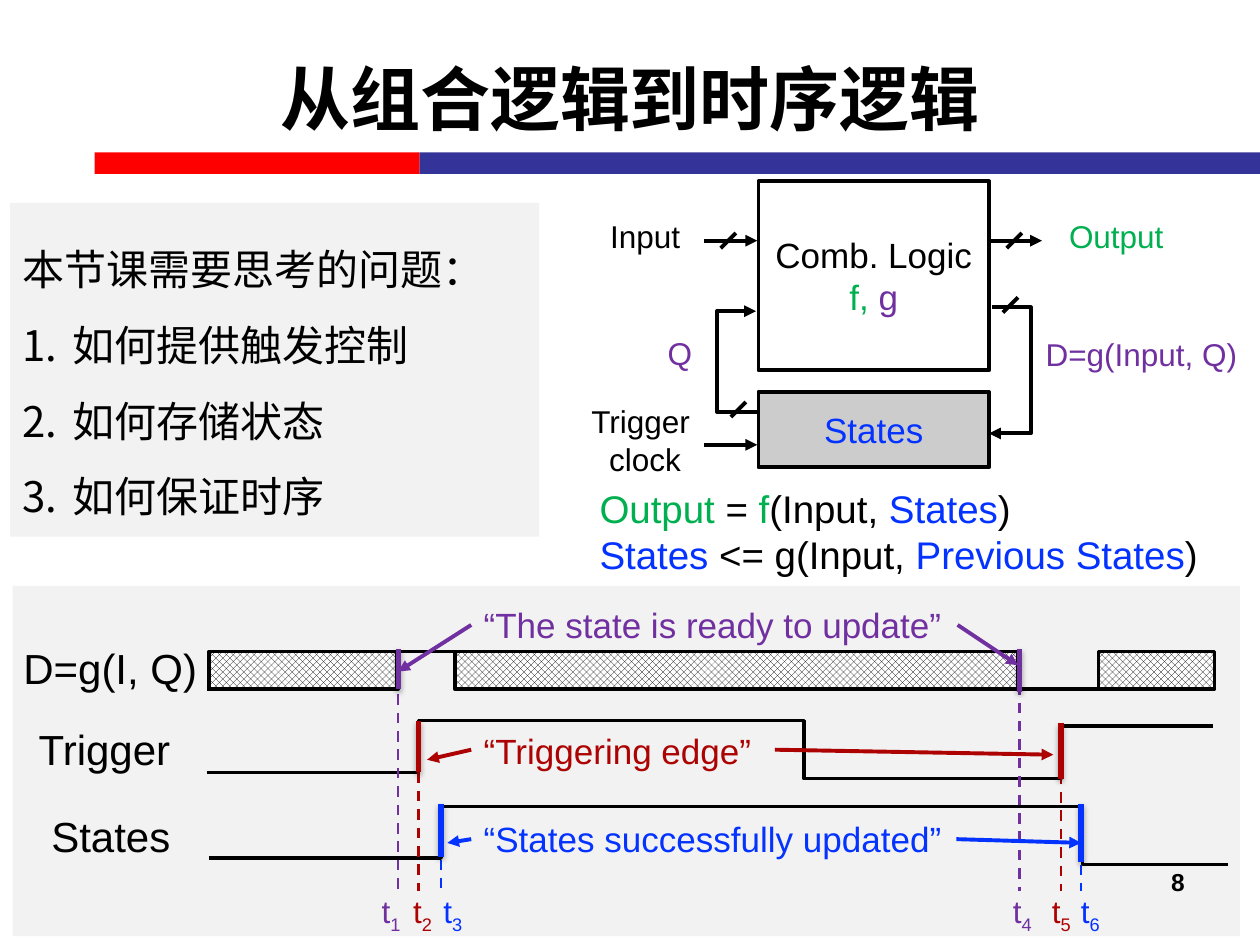
"""Build the slide that leads from combinational to sequential logic."""
from dataclasses import dataclass
from typing import NamedTuple, Optional

from lxml import etree
from pptx import Presentation
from pptx.dml.color import RGBColor
from pptx.enum.dml import MSO_LINE, MSO_PATTERN
from pptx.enum.shapes import MSO_CONNECTOR, MSO_SHAPE
from pptx.enum.text import MSO_ANCHOR, MSO_AUTO_SIZE, PP_ALIGN
from pptx.oxml.ns import qn
from pptx.util import Inches, Pt

RECTANGLE = MSO_SHAPE.RECTANGLE
STRAIGHT = MSO_CONNECTOR.STRAIGHT
DASH = MSO_LINE.DASH
HATCH = MSO_PATTERN.from_xml("openDmnd")
MIDDLE, TOP = MSO_ANCHOR.MIDDLE, MSO_ANCHOR.TOP
LEFT, CENTER, RIGHT = PP_ALIGN.LEFT, PP_ALIGN.CENTER, PP_ALIGN.RIGHT
GROW = MSO_AUTO_SIZE.SHAPE_TO_FIT_TEXT

BLACK = RGBColor(0x00, 0x00, 0x00)
WHITE = RGBColor(0xFF, 0xFF, 0xFF)
RED = RGBColor(0xFF, 0x00, 0x00)
NAVY = RGBColor(0x33, 0x33, 0x99)
PANEL = RGBColor(0xF2, 0xF2, 0xF2)
GRAY = RGBColor(0xCC, 0xCC, 0xCC)
PURPLE = RGBColor(0x70, 0x30, 0xA0)
CRIMSON = RGBColor(0xAD, 0x02, 0x02)
BLUE = RGBColor(0x04, 0x32, 0xFF)
GREEN = RGBColor(0x00, 0xB0, 0x50)


class Box(NamedTuple):
    left: float
    top: float
    width: float
    height: float


class Piece(NamedTuple):
    text: str
    color: RGBColor = BLACK
    subscript: bool = False


class Line(NamedTuple):
    start: tuple
    end: tuple
    color: RGBColor = BLACK
    width: float = 2.25


class Step(NamedTuple):
    left: float
    edge: float
    right: float
    start_y: float
    end_y: float


@dataclass(frozen=True)
class Label:
    box: Box
    lines: list
    size: float
    align: PP_ALIGN = LEFT


@dataclass(frozen=True)
class Instant:
    number: int
    color: RGBColor
    x: float
    edge_top: float
    edge_bottom: float
    dash_top: float
    label_left: float


DATA_HIGH, DATA_LOW = 5.17, 5.47
TRACES = [
    Step(1.64, 3.16, 4.27, DATA_LOW, DATA_HIGH), Step(4.08, 8.08, 9.58, DATA_HIGH, DATA_LOW),
    Step(1.64, 3.32, 4.55, 6.13, 5.72), Step(4.54, 6.38, 6.95, 5.72, 6.18),
    Step(6.75, 8.42, 9.63, 6.18, 5.76),
    Step(1.66, 3.5, 4.85, 6.81, 6.4), Step(4.85, 8.59, 9.75, 6.4, 6.86),
]
CHANGING_DATA = [(1.66, 3.15), (3.61, 8.08), (8.72, 9.64)]
INSTANTS = [
    Instant(1, PURPLE, 3.16, 5.15, 5.47, 5.51, 2.93),
    Instant(2, CRIMSON, 3.32, 5.72, 6.13, 6.13, 3.18),
    Instant(3, BLUE, 3.5, 6.38, 6.8, 6.53, 3.42),
    Instant(4, PURPLE, 8.09, 5.15, 5.49, 5.43, 7.94),
    Instant(5, CRIMSON, 8.42, 5.74, 6.18, 6.14, 8.25),
    Instant(6, BLUE, 8.58, 6.38, 6.84, 6.57, 8.48),
]
CALLOUT_ARROWS = [
    Line((3.74, 4.96), (3.16, 5.33), PURPLE), Line((7.6, 4.96), (8.08, 5.28), PURPLE),
    Line((3.74, 5.95), (3.39, 6.03), CRIMSON), Line((6.15, 5.95), (8.36, 5.99), CRIMSON),
    Line((3.74, 6.66), (3.55, 6.69), BLUE), Line((7.59, 6.66), (8.58, 6.69), BLUE),
]
PORT_ARROWS = [Line((5.59, 1.91), (6.01, 1.91)), Line((7.86, 1.91), (8.27, 1.91)),
               Line((5.59, 3.53), (6.01, 3.53))]
FEEDBACK_LOOPS = [Step(7.87, 8.18, 7.85, 2.44, 3.44), Step(6.02, 5.69, 6.0, 3.27, 2.47)]
BUS_MARKS = [(5.78, 1.91), (5.86, 3.25), (8.02, 2.42), (8.05, 1.91)]
TIMING_LABELS = [
    Label(Box(0.07, 5.05, 1.61, 0.5), [[Piece("D=g(I, Q)")]], 24, CENTER),
    Label(Box(0.2, 5.69, 1.35, 0.5), [[Piece("Trigger ")]], 24, CENTER),
    Label(Box(0.3, 6.38, 1.16, 0.5), [[Piece("States")]], 24, CENTER),
    Label(Box(3.74, 4.74, 3.86, 0.44), [[Piece("“The state is ready to update”", PURPLE)]], 20),
    Label(Box(3.74, 5.74, 2.41, 0.44), [[Piece("“Triggering edge”", CRIMSON)]], 20),
    Label(Box(3.74, 6.44, 3.85, 0.44), [[Piece("“States successfully updated”", BLUE)]], 20),
]
CIRCUIT_LABELS = [
    Label(Box(4.74, 1.67, 0.76, 0.4), [[Piece("Input")]], 18, CENTER),
    Label(Box(8.38, 1.67, 0.96, 0.4), [[Piece("Output", GREEN)]], 18, CENTER),
    Label(Box(4.59, 3.14, 1.06, 0.71), [[Piece("Trigger \nclock")]], 18, CENTER),
    Label(Box(8.2, 2.61, 1.74, 0.4), [[Piece("D=g(Input, Q)", PURPLE)]], 18),
    Label(Box(5.2, 2.6, 0.4, 0.4), [[Piece("Q", PURPLE)]], 18),
    Label(Box(4.66, 3.8, 5.01, 0.84), [
        [Piece("Output", GREEN), Piece(" = "), Piece("f", GREEN), Piece("(Input, "),
         Piece("States", BLUE), Piece(")")],
        [Piece("States", BLUE), Piece(" <= g(Input, "), Piece("Previous States", BLUE), Piece(")")],
    ], 22),
]
QUESTIONS = ["本节课需要思考的问题：", "如何提供触发控制", "如何存储状态", "如何保证时序"]


def write(frame, lines: list, size: float, align: PP_ALIGN = LEFT, bold: bool = False) -> None:
    """Fill a text frame with lines of coloured pieces."""
    for index, pieces in enumerate(lines):
        paragraph = frame.add_paragraph() if index else frame.paragraphs[0]
        paragraph.alignment = align
        if len(pieces) == 1:
            paragraph.text = pieces[0].text
            styled = [(run, pieces[0]) for run in paragraph.runs]
        else:
            styled = [(paragraph.add_run(), piece) for piece in pieces]
        for run, piece in styled:
            if len(pieces) > 1:
                run.text = piece.text
            run.font.name, run.font.size, run.font.bold = "Arial", Pt(size), bold
            run.font.color.rgb = piece.color
            if piece.subscript:
                run.font._element.set("baseline", "-25000")


def add_text(slide, label: Label, bold: bool = False, wrap: bool = False,
             anchor: MSO_ANCHOR = TOP) -> None:
    """Add a text box that grows unless it wraps."""
    frame = slide.shapes.add_textbox(*map(Inches, label.box)).text_frame
    frame.word_wrap, frame.vertical_anchor = wrap, anchor
    if not wrap:
        frame.auto_size = GROW
    write(frame, label.lines, label.size, label.align, bold)


def add_block(slide, box: Box, fill: Optional[RGBColor] = None, border: float = 0,
              hatched: bool = False):
    """Add a rectangle and return it."""
    block = slide.shapes.add_shape(RECTANGLE, *map(Inches, box))
    block.shadow.inherit = False
    if hatched:
        block.fill.patterned()
        block.fill.pattern = HATCH
        block.fill.fore_color.rgb, block.fill.back_color.rgb = BLACK, WHITE
    elif fill is not None:
        block.fill.solid()
        block.fill.fore_color.rgb = fill
    else:
        block.fill.background()
    if border:
        block.line.color.rgb, block.line.width = BLACK, Pt(border)
    else:
        block.line.fill.background()
    block.text_frame.word_wrap, block.text_frame.vertical_anchor = True, MIDDLE
    return block


def add_arrowhead(shape) -> None:
    """Put a triangle at the end of a line."""
    etree.SubElement(shape.line._get_or_add_ln(), qn("a:tailEnd"), type="triangle")


def add_line(slide, line: Line, arrow: bool = False, dashed: bool = False,
             shadowed: bool = False) -> None:
    """Add a straight connector."""
    connector = slide.shapes.add_connector(STRAIGHT, *map(Inches, line.start + line.end))
    connector.line.color.rgb, connector.line.width = line.color, Pt(line.width)
    if dashed:
        connector.line.dash_style = DASH
    if arrow:
        add_arrowhead(connector)
    effects = etree.SubElement(connector._element.spPr, qn("a:effectLst"))
    if shadowed:
        shadow = etree.SubElement(effects, qn("a:outerShdw"), blurRad=str(Pt(3.1)),
                                  dist=str(Pt(1.8)), dir="5400000", rotWithShape="0")
        color = etree.SubElement(shadow, qn("a:srgbClr"), val=str(BLACK))
        etree.SubElement(color, qn("a:alpha"), val="35000")


def add_step(slide, step: Step, width: float, arrow: bool = False) -> None:
    """Add an open outline that runs level, jumps at the edge and runs level again."""
    corners = [(step.edge, step.start_y), (step.edge, step.end_y), (step.right, step.end_y)]
    builder = slide.shapes.build_freeform(Inches(step.left), Inches(step.start_y))
    builder.add_line_segments([(Inches(x), Inches(y)) for x, y in corners], close=False)
    outline = builder.convert_to_shape()
    outline.shadow.inherit = False
    outline.fill.background()
    outline.line.color.rgb, outline.line.width = BLACK, Pt(width)
    if arrow:
        add_arrowhead(outline)


def draw_timing(slide) -> None:
    """Draw the timing diagram."""
    add_block(slide, Box(0.1, 4.65, 9.74, 2.78), PANEL)
    for trace in TRACES:
        add_step(slide, trace, 2)
    for left, right in CHANGING_DATA:
        add_block(slide, Box(left, DATA_HIGH, right - left, DATA_LOW - DATA_HIGH), border=2,
                  hatched=True)
    for moment in INSTANTS:
        x, color = moment.x, moment.color
        add_line(slide, Line((x, moment.dash_top), (x, 7.07), color, 1.5), dashed=True)
        add_line(slide, Line((x, moment.edge_bottom), (x, moment.edge_top), color, 3),
                 shadowed=True)
        name = [Piece("t", color), Piece(str(moment.number), color, True)]
        add_text(slide, Label(Box(moment.label_left, 7.03, 0.38, 0.4), [name], 18))
    for arrow in CALLOUT_ARROWS:
        add_line(slide, arrow, arrow=True)
    for label in TIMING_LABELS:
        add_text(slide, label)


def draw_circuit(slide) -> None:
    """Draw the logic block, the state block and their wires."""
    logic = add_block(slide, Box(6.02, 1.44, 1.83, 1.5), border=2.25)
    functions = [Piece("f,", GREEN), Piece(" g", PURPLE)]
    write(logic.text_frame, [[Piece("Comb. Logic")], functions], 20, CENTER)
    states = add_block(slide, Box(6.02, 3.11, 1.83, 0.6), GRAY, border=2.25)
    write(states.text_frame, [[Piece("States", BLUE)]], 20, CENTER)
    for loop in FEEDBACK_LOOPS:
        add_step(slide, loop, 2.25, arrow=True)
    for port in PORT_ARROWS:
        add_line(slide, port, arrow=True)
    for x, y in BUS_MARKS:
        add_line(slide, Line((x - 0.06, y + 0.06), (x + 0.06, y - 0.06)))
    for label in CIRCUIT_LABELS:
        add_text(slide, label)


def draw_questions(slide) -> None:
    """Draw the panel with the numbered questions."""
    frame = add_block(slide, Box(0.08, 1.61, 4.2, 2.65), PANEL).text_frame
    write(frame, [[Piece(question)] for question in QUESTIONS], 24)
    for index, paragraph in enumerate(frame.paragraphs):
        paragraph.line_spacing = 1.5
        if index:
            properties = paragraph._p.get_or_add_pPr()
            properties.set("marL", str(Inches(0.4)))
            properties.set("indent", str(Inches(-0.4)))
            etree.SubElement(properties, qn("a:buAutoNum"), type="arabicPeriod")


def main() -> None:
    """Build and save the slide."""
    deck = Presentation()
    deck.slide_width, deck.slide_height = Inches(10), Inches(7.5)
    slide = deck.slides.add_slide(deck.slide_layouts[6])
    add_block(slide, Box(0.75, 1.21, 2.58, 0.17), RED)
    add_block(slide, Box(3.33, 1.21, 6.67, 0.17), NAVY)
    draw_timing(slide)
    title = Label(Box(0.5, 0.15, 9, 1.25), [[Piece("从组合逻辑到时序逻辑")]], 40, CENTER)
    add_text(slide, title, bold=True, wrap=True, anchor=MIDDLE)
    page_number = Label(Box(9.05, 6.83, 0.45, 0.52), [[Piece("8")]], 14, RIGHT)
    add_text(slide, page_number, bold=True, wrap=True)
    draw_circuit(slide)
    draw_questions(slide)
    deck.save("out.pptx")


if __name__ == "__main__":
    main()
